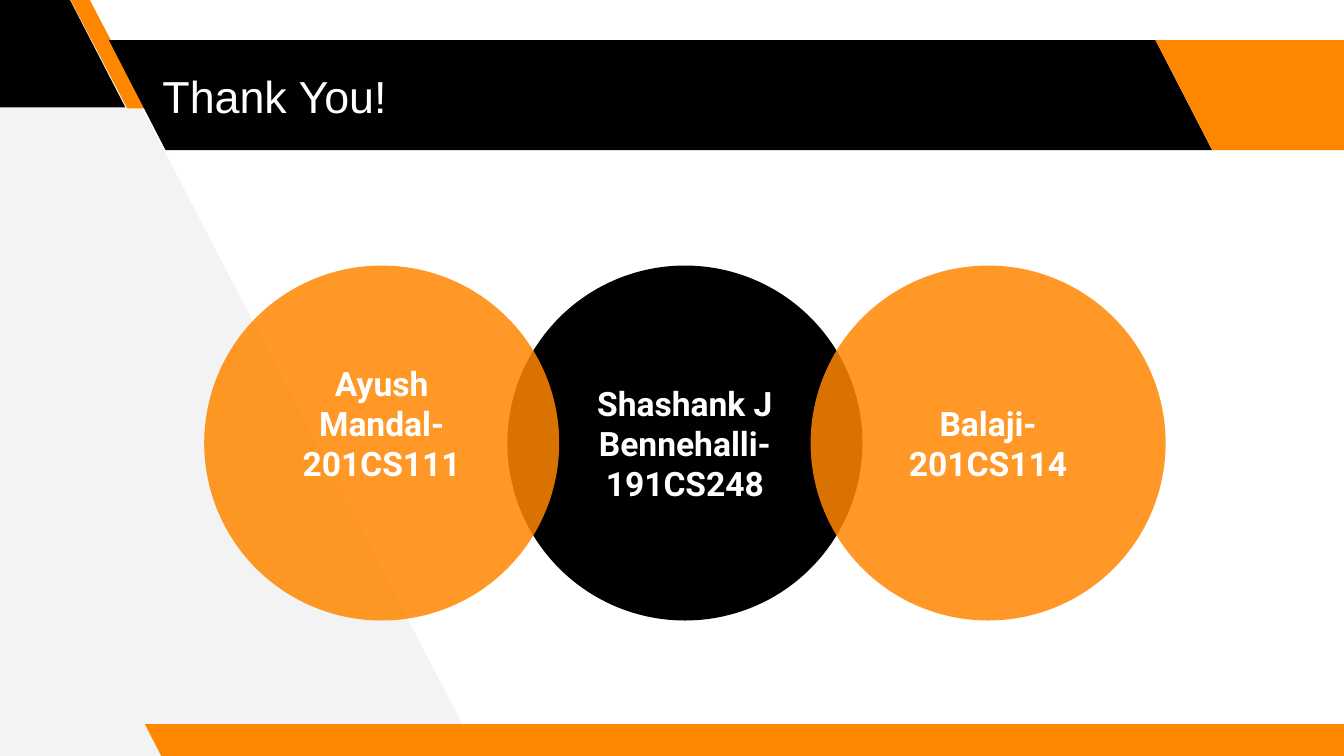
from lxml import etree
from pptx import Presentation
from pptx.dml.color import RGBColor
from pptx.enum.shapes import MSO_SHAPE
from pptx.enum.text import MSO_ANCHOR, PP_ALIGN
from pptx.oxml.ns import qn
from pptx.util import Cm, Pt

BLACK = RGBColor(0x00, 0x00, 0x00)
WHITE = RGBColor(0xFF, 0xFF, 0xFF)
ORANGE = RGBColor(0xFF, 0x87, 0x00)
GREY = RGBColor(0xF3, 0xF3, 0xF3)

SLANT = MSO_SHAPE.PARALLELOGRAM
OVAL = MSO_SHAPE.OVAL
MIDDLE = MSO_ANCHOR.MIDDLE
LEFT, CENTER = PP_ALIGN.LEFT, PP_ALIGN.CENTER

SIZE = 6.71
FIRST, TOP, PITCH = 3.86, 5.02, 5.73
PAD = 0.25
LINE = 0.76

# left, top, width, height in cm, slant, colour
BANDS = [
    (-2.51, -0.05, 4.88, 2.08, 0.515, BLACK),
    (1.32, -0.03, 1.45, 2.08, 0.75, ORANGE),
    (2.06, 0.76, 20.85, 2.08, 0.515, BLACK),
    (21.84, 0.76, 4.88, 2.08, 0.515, ORANGE),
    (2.74, 13.69, 23.24, 0.64, 0.515, ORANGE),
]
WEDGE = [(9.04, 14.27), (1.57, -0.1), (-0.15, -0.1), (-0.05, 14.38)]

# column, name, number, colour, opacity in percent, lines of lift
PEOPLE = [
    (1, "Shashank J Bennehalli-", "191CS248", BLACK, 100, 0),
    (0, "Ayush Mandal-", "201CS111", ORANGE, 85, 1),
    (2, "Balaji-", "201CS114", ORANGE, 85, 0),
]


def paint(shape, color, alpha=100):
    shape.shadow.inherit = False
    shape.fill.solid()
    shape.fill.fore_color.rgb = color
    shape.line.fill.background()
    if alpha < 100:
        tone = shape.fill._xPr.find(qn("a:solidFill"))[0]
        etree.SubElement(tone, qn("a:alpha"), val=str(alpha * 1000))


def add_run(para, text, font, size, bold=False):
    run = para.add_run()
    run.text = text
    run.font.name = font
    run.font.size = Pt(size)
    run.font.bold = bold
    run.font.color.rgb = WHITE


def set_frame(frame, side, top, bottom):
    frame.word_wrap = True
    frame.vertical_anchor = MIDDLE
    frame.margin_left = frame.margin_right = Cm(side)
    frame.margin_top, frame.margin_bottom = Cm(top), Cm(bottom)


def add_wedge(slide):
    points = [(Cm(x), Cm(y)) for x, y in WEDGE]
    outline = slide.shapes.build_freeform(*points[0])
    outline.add_line_segments(points[1:], close=True)
    paint(outline.convert_to_shape(), GREY)


def add_band(slide, left, top, width, height, slant, color):
    """Add a parallelogram that leans to the left."""
    band = slide.shapes.add_shape(SLANT, Cm(left), Cm(top), Cm(width), Cm(height))
    band.adjustments[0] = slant
    band._element.spPr.find(qn("a:xfrm")).set("flipH", "1")
    paint(band, color)


def add_title(slide, text):
    """Fill the title and bring it in front of the bands."""
    title = slide.shapes.title
    title.left, title.top = Cm(3.07), Cm(0.76)
    title.width, title.height = Cm(18.67), Cm(2.08)
    set_frame(title.text_frame, 0, PAD, PAD)
    para = title.text_frame.paragraphs[0]
    para.alignment = LEFT
    add_run(para, text, "Arial", 24)
    slide.shapes._spTree.append(title._element)


def add_person(slide, col, name, number, color, alpha, lift):
    left = FIRST + col * PITCH
    disc = slide.shapes.add_shape(OVAL, Cm(left), Cm(TOP), Cm(SIZE), Cm(SIZE))
    paint(disc, color, alpha)
    frame = disc.text_frame
    set_frame(frame, PAD, PAD, PAD + lift * LINE)
    for para, text in (
        (frame.paragraphs[0], name),
        (frame.add_paragraph(), number),
    ):
        para.alignment = CENTER
        add_run(para, text, "Roboto", 18, bold=True)


def main():
    deck = Presentation()
    deck.slide_width, deck.slide_height = Cm(25.4), Cm(14.29)
    slide = deck.slides.add_slide(deck.slide_layouts.get_by_name("Title Only"))
    add_wedge(slide)
    for band in BANDS:
        add_band(slide, *band)
    add_title(slide, "Thank You!")
    for person in PEOPLE:
        add_person(slide, *person)
    deck.save("out.pptx")


if __name__ == "__main__":
    main()
